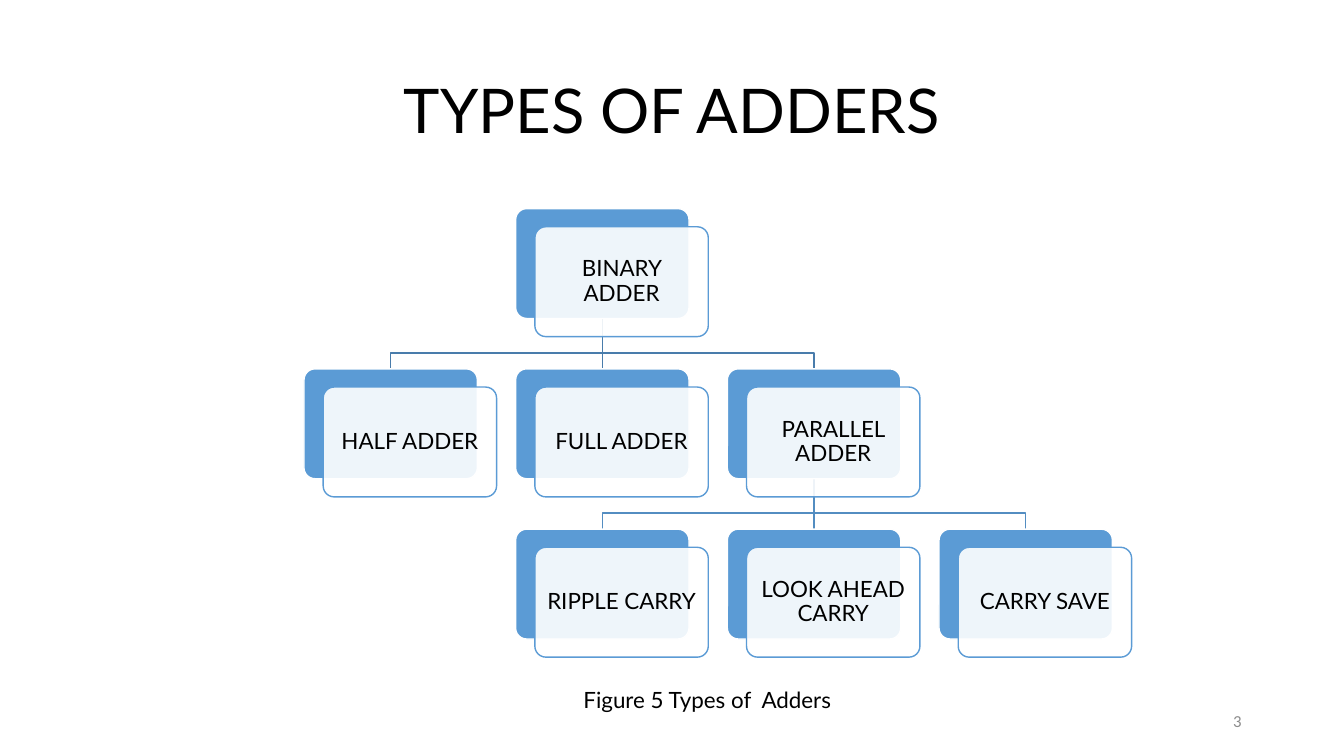
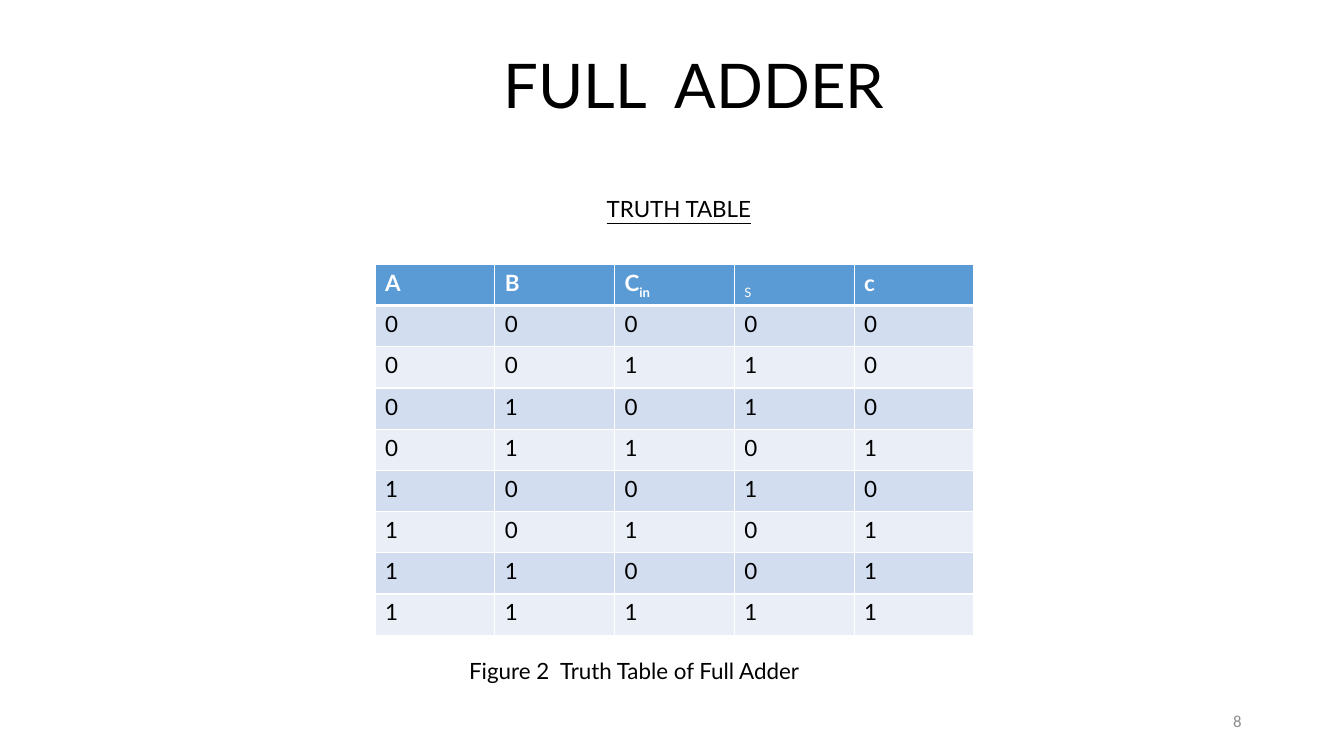
import itertools
from dataclasses import dataclass
from typing import Any, NamedTuple

import pptx
import pptx.dml.color
import pptx.enum.shapes
import pptx.enum.text
import pptx.oxml
import pptx.oxml.ns
import pptx.util

ALIGN = pptx.enum.text.PP_ALIGN
ANCHOR = pptx.enum.text.MSO_ANCHOR
SHAPE = pptx.enum.shapes.MSO_SHAPE
CONNECTOR = pptx.enum.shapes.MSO_CONNECTOR

SLIDE_WIDTH = pptx.util.Inches(13.33)
SLIDE_HEIGHT = pptx.util.Inches(7.5)


@dataclass(frozen=True)
class Theme:
    font: str = "Lato"
    number_font: str = "Calibri"
    title_size: float = 44
    text_size: float = 16
    number_size: float = 12
    line_spacing: float = 0.9
    black: str = "000000"
    white: str = "FFFFFF"
    gray: str = "8C8C8C"
    blue: str = "5B9BD5"
    bands: tuple[str, str] = ("D2DEEF", "EAEFF7")
    branch_lines: tuple[str, str] = ("497CAB", "538DC1")


THEME = Theme()


class Frame(NamedTuple):
    """Left, top, width and height in percent of the slide."""
    left: float
    top: float
    width: float
    height: float

    def lengths(self) -> tuple[int, int, int, int]:
        return across(self.left), down(self.top), across(self.width), down(self.height)


class TreeNode(NamedTuple):
    label: str
    column: int
    row: int


class Branch(NamedTuple):
    parent: TreeNode
    children: list[TreeNode]
    color: str


class Span(NamedTuple):
    text: str
    bold: bool = False
    subscript: bool = False


@dataclass(frozen=True)
class TreeGrid:
    left: float = 22.62
    top: float = 27.6
    column_step: float = 15.75
    row_step: float = 21.2
    card_width: float = 12.9
    card_height: float = 14.53
    shift_x: float = 1.43
    shift_y: float = 2.4
    drop: float = 2.13

    def card(self, node: TreeNode) -> Frame:
        return Frame(self.left + node.column * self.column_step,
                     self.top + node.row * self.row_step,
                     self.card_width, self.card_height)

    def front(self, node: TreeNode) -> Frame:
        back = self.card(node)
        return back._replace(left=back.left + self.shift_x, top=back.top + self.shift_y)

    def center(self, node: TreeNode) -> float:
        return self.card(node).left + self.card_width / 2


GRID = TreeGrid()
NUMBER_FRAME = Frame(70.62, 92.67, 22.5, 5.33)


def across(percent: float) -> int:
    return round(SLIDE_WIDTH * percent / 100)


def down(percent: float) -> int:
    return round(SLIDE_HEIGHT * percent / 100)


def rgb(color: str) -> pptx.dml.color.RGBColor:
    return pptx.dml.color.RGBColor.from_string(color)


def style_font(font: Any, color: str = THEME.black, size: float = THEME.text_size,
               name: str = THEME.font) -> None:
    font.name = name
    font.size = pptx.util.Pt(size)
    font.color.rgb = rgb(color)


def style_line(line: Any, color: str) -> None:
    line.color.rgb = rgb(color)
    line.width = pptx.util.Pt(1)


def add_child(parent: Any, xml: str) -> None:
    parent.append(pptx.oxml.parse_xml(xml))


def add_text(page: Any, text: str, frame: Frame, align: Any = ALIGN.LEFT,
             anchor: Any = ANCHOR.TOP) -> Any:
    box = page.shapes.add_textbox(*frame.lengths())
    box.text_frame.word_wrap = True
    box.text_frame.vertical_anchor = anchor
    box.text_frame.text = text
    para = box.text_frame.paragraphs[0]
    para.alignment = align
    style_font(para.runs[0].font)
    return para.runs[0].font


def add_page(deck: Any, title: str, frame: Frame, number: str) -> Any:
    page = deck.slides.add_slide(deck.slide_layouts.get_by_name("Title Only"))
    heading = page.shapes.title
    heading.left, heading.top, heading.width, heading.height = frame.lengths()
    heading.text_frame.text = title
    heading.text_frame.auto_size = pptx.enum.text.MSO_AUTO_SIZE.NONE
    heading.text_frame.vertical_anchor = ANCHOR.MIDDLE
    para = heading.text_frame.paragraphs[0]
    para.alignment = ALIGN.CENTER
    para.line_spacing = THEME.line_spacing
    style_font(para.runs[0].font, size=THEME.title_size)
    number_font = add_text(page, number, NUMBER_FRAME, ALIGN.RIGHT, ANCHOR.MIDDLE)
    style_font(number_font, THEME.gray, THEME.number_size, THEME.number_font)
    return page


def add_branch(page: Any, branch: Branch) -> None:
    parent = GRID.card(branch.parent)
    child_top = GRID.card(branch.children[0]).top
    trunk, start = across(GRID.center(branch.parent)), down(parent.top + parent.height)
    bus, end = down(child_top - GRID.drop), down(child_top)
    for child in reversed(branch.children):
        center = across(GRID.center(child))
        if child.column == branch.parent.column:
            link = page.shapes.add_connector(CONNECTOR.STRAIGHT, trunk, start, center, end)
            add_child(link._element.spPr, f"<a:effectLst {pptx.oxml.ns.nsdecls('a')}/>")
        else:
            outline = page.shapes.build_freeform(trunk, start)
            outline.add_line_segments([(trunk, bus), (center, bus), (center, end)],
                                      close=False)
            link = outline.convert_to_shape()
            link.fill.background()
            link.shadow.inherit = False
        style_line(link.line, branch.color)


def add_card(page: Any, frame: Frame, fill: str, line: str) -> Any:
    card = page.shapes.add_shape(SHAPE.ROUNDED_RECTANGLE, *frame.lengths())
    card.adjustments[0] = 0.1
    card.shadow.inherit = False
    card.fill.solid()
    card.fill.fore_color.rgb = rgb(fill)
    style_line(card.line, line)
    return card


def add_node(page: Any, node: TreeNode) -> None:
    add_card(page, GRID.card(node), THEME.blue, THEME.white)
    front = add_card(page, GRID.front(node), THEME.white, THEME.blue)
    white = front._element.spPr.find(
        f"{pptx.oxml.ns.qn('a:solidFill')}/{pptx.oxml.ns.qn('a:srgbClr')}")
    add_child(white, f'<a:alpha {pptx.oxml.ns.nsdecls("a")} val="90000"/>')
    body = front.text_frame
    inset = pptx.util.Inches(0.07)
    body.margin_left = body.margin_right = body.margin_top = body.margin_bottom = inset
    body.word_wrap = True
    body.vertical_anchor = ANCHOR.MIDDLE
    body.text = node.label
    para = body.paragraphs[0]
    para.alignment = ALIGN.CENTER
    para.line_spacing = THEME.line_spacing
    style_font(para.runs[0].font)


def fill_cell(cell: Any, spans: list[Span], color: str, fill: str,
              top: int, bottom: int) -> None:
    para = cell.text_frame.paragraphs[0]
    for span in spans:
        run = para.add_run()
        run.text = span.text
        style_font(run.font, color)
        run.font.bold = span.bold
        if span.subscript:
            run.font._element.set("baseline", "-25000")
    for side, points in zip("LRTB", (1, 1, top, bottom)):
        add_child(cell._tc.get_or_add_tcPr(),
                  f'<a:ln{side} {pptx.oxml.ns.nsdecls("a")} w="{pptx.util.Pt(points)}">'
                  f'<a:solidFill><a:srgbClr val="{THEME.white}"/></a:solidFill></a:ln{side}>')
    cell.fill.solid()
    cell.fill.fore_color.rgb = rgb(fill)


def add_truth_table(page: Any, header: list[list[Span]], frame: Frame) -> None:
    rows = [header]
    for bits in itertools.product((0, 1), repeat=3):
        carry, total = divmod(sum(bits), 2)
        rows.append([[Span(str(value))] for value in (*bits, total, carry)])
    table = page.shapes.add_table(len(rows), len(header), *frame.lengths()).table
    for row, cells in enumerate(rows):
        color, fill = ((THEME.black, THEME.bands[(row - 1) % 2]) if row
                       else (THEME.white, THEME.blue))
        for column, spans in enumerate(cells):
            fill_cell(table.cell(row, column), spans, color, fill,
                      top=3 if row == 1 else 1, bottom=3 if row == 0 else 1)


def build_types_page(deck: Any) -> None:
    page = add_page(deck, "TYPES OF ADDERS", Frame(6.87, 5.33, 86.27, 19.33), "3")
    binary = TreeNode("BINARY ADDER", 1, 0)
    parallel = TreeNode("PARALLEL ADDER", 2, 1)
    kinds = [TreeNode("HALF ADDER", 0, 1), TreeNode("FULL ADDER", 1, 1), parallel]
    carries = [TreeNode(label, column, 2) for column, label in
               enumerate(("RIPPLE CARRY", "LOOK AHEAD CARRY", "CARRY SAVE"), start=1)]
    for parent, children, color in zip((binary, parallel), (kinds, carries),
                                       THEME.branch_lines):
        add_branch(page, Branch(parent, children, color))
    for node in (binary, *kinds, *carries):
        add_node(page, node)
    add_text(page, "Figure 5 Types of  Adders", Frame(42.2, 90.07, 20.86, 4.93), ALIGN.CENTER)


def build_full_adder_page(deck: Any) -> None:
    page = add_page(deck, "FULL  ADDER", Frame(6.23, 4.08, 90.85, 15.2), "8")
    header = [[Span("A", True)], [Span("B", True)],
              [Span("C", True), Span("in", True, True)],
              [Span("S", subscript=True)], [Span("c", True)]]
    add_truth_table(page, header, Frame(27.91, 34.97, 44.56, 49.07))
    add_text(page, "TRUTH TABLE", Frame(44.41, 25.15, 14.03, 4.93)).underline = True
    add_text(page, "Figure 2  Truth Table of Full Adder", Frame(34.17, 86.27, 27.31, 4.93))


def main() -> None:
    deck = pptx.Presentation()
    deck.slide_width, deck.slide_height = SLIDE_WIDTH, SLIDE_HEIGHT
    build_types_page(deck)
    build_full_adder_page(deck)
    deck.save("out.pptx")


if __name__ == "__main__":
    main()
